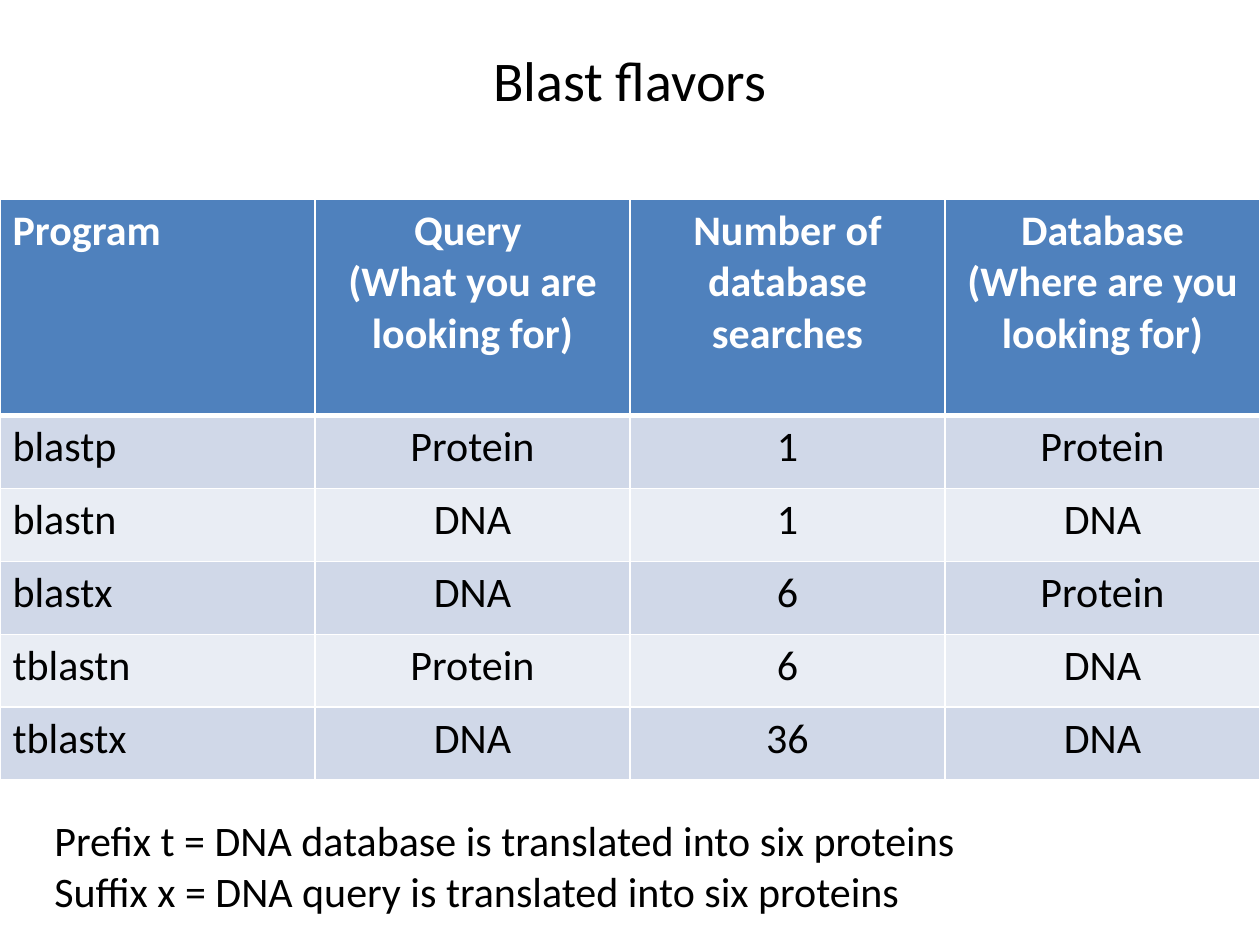
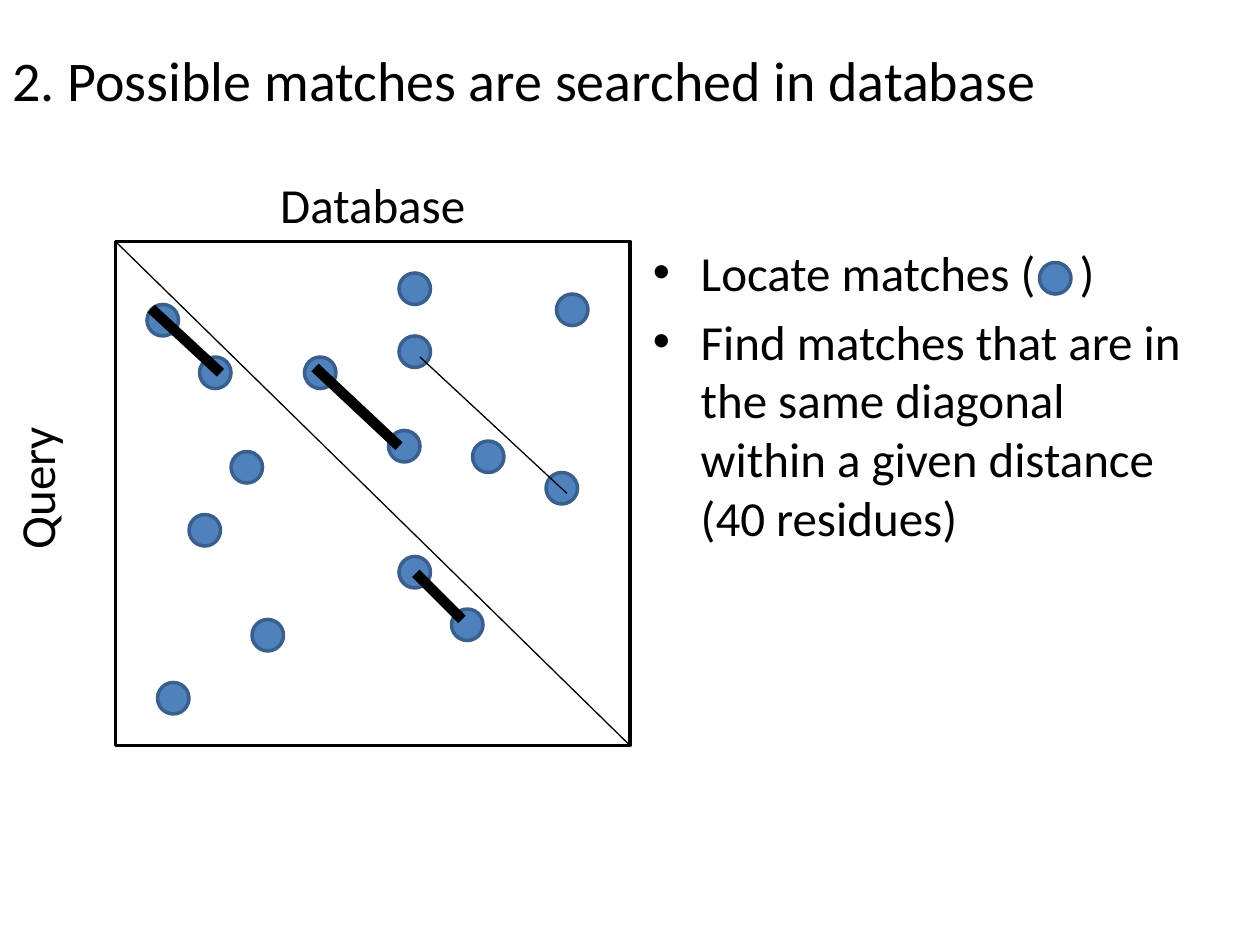
from dataclasses import dataclass
from typing import NamedTuple

from lxml import etree
from pptx import Presentation
from pptx import util as u
from pptx.dml.color import RGBColor
from pptx.enum import shapes, text
from pptx.oxml import ns


# Theme and grid
@dataclass(frozen=True)
class Theme:
    font: str = "Calibri"
    black: str = "000000"
    white: str = "FFFFFF"
    blue: str = "4F81BD"
    dot_edge: str = "3A5F8C"
    bands: tuple[str, str] = ("D0D8E8", "E9EDF4")
    title: float = 32
    body: float = 28
    small: float = 24
    thin: float = 0.75
    outline: float = 2
    thick: float = 6


T = Theme()
WIDTH, HEIGHT = u.Inches(10), u.Inches(7.5)
COLS = 120  # square grid cells across the slide
CELL = WIDTH / COLS
DOT_SIZE = 3
LEFT, CENTER = text.PP_ALIGN.LEFT, text.PP_ALIGN.CENTER


class Box(NamedTuple):
    col: float
    row: float
    cols: float
    rows: float


class Dot(NamedTuple):
    col: float
    row: float


class Link(NamedTuple):
    start: tuple[float, float]
    end: tuple[float, float]
    weight: float


class Run(NamedTuple):
    words: str
    spacing: float = 0  # extra points after each character


def grid(*cells: float) -> list[int]:
    return [round(c * CELL) for c in cells]


def rgb(color: str) -> RGBColor:
    return RGBColor.from_string(color)


# Text
def write(tf, paragraphs, size: float, color: str = T.black, align=LEFT,
          bold: bool = False, bullets: bool = False) -> None:
    tf.word_wrap = True
    for i, runs in enumerate(paragraphs):
        p = tf.add_paragraph() if i else tf.paragraphs[0]
        p.alignment = align
        if bullets:
            add_bullet(p)
            if i:
                p.space_before = u.Pt(size * 0.2)
        for run in [Run(runs)] if isinstance(runs, str) else runs:
            r = p.add_run()
            r.text = run.words
            r.font.name, r.font.size, r.font.bold = T.font, u.Pt(size), bold
            r.font.color.rgb = rgb(color)
            if run.spacing:
                r.font._element.set("spc", str(round(run.spacing * 100)))


def add_bullet(p) -> None:
    pPr = p._p.get_or_add_pPr()
    indent = u.Inches(0.38)
    pPr.set("marL", str(indent))
    pPr.set("indent", str(-indent))
    etree.SubElement(pPr, ns.qn("a:buFont"), typeface="Arial")
    etree.SubElement(pPr, ns.qn("a:buChar"), char="•")


def add_text(s, box: Box, paragraphs, size: float, align=LEFT,
             bullets: bool = False, rotation: float = 0,
             anchor=text.MSO_ANCHOR.TOP) -> None:
    sp = s.shapes.add_textbox(*grid(*box))
    sp.rotation = rotation
    sp.text_frame.vertical_anchor = anchor
    write(sp.text_frame, paragraphs, size, align=align, bullets=bullets)


def add_title(s, box: Box, words: str, align=LEFT) -> None:
    add_text(s, box, [words], T.title, align, anchor=text.MSO_ANCHOR.MIDDLE)


# Shapes
def add_shape(s, kind, box: Box, fill: str, line: str) -> None:
    sp = s.shapes.add_shape(kind, *grid(*box))
    sp.shadow.inherit = False
    sp.fill.solid()
    sp.fill.fore_color.rgb = rgb(fill)
    sp.line.color.rgb = rgb(line)
    sp.line.width = u.Pt(T.outline)


def add_dot(s, dot: Dot) -> None:
    add_shape(s, shapes.MSO_SHAPE.OVAL, Box(*dot, DOT_SIZE, DOT_SIZE), T.blue, T.dot_edge)


def add_link(s, link: Link) -> None:
    cx = s.shapes.add_connector(shapes.MSO_CONNECTOR.STRAIGHT, *grid(*link.start, *link.end))
    cx.line.color.rgb = rgb(T.black)
    cx.line.width = u.Pt(link.weight)
    etree.SubElement(cx._element.spPr, ns.qn("a:effectLst"))


# Table
def set_borders(cell, top: float = 1, bottom: float = 1) -> None:
    tcPr = cell._tc.get_or_add_tcPr()
    for side, weight in (("L", 1), ("R", 1), ("T", top), ("B", bottom)):
        ln = etree.SubElement(tcPr, ns.qn(f"a:ln{side}"), w=str(u.Pt(weight)))
        fill = etree.SubElement(ln, ns.qn("a:solidFill"))
        etree.SubElement(fill, ns.qn("a:srgbClr"), val=T.white)


def add_table(s, box: Box, rows, header_rows: float) -> None:
    table = s.shapes.add_table(len(rows), len(rows[0]), *grid(*box)).table
    body_rows = (box.rows - header_rows) / (len(rows) - 1)
    for i, row in enumerate(rows):
        header = i == 0
        table.rows[i].height = grid(header_rows if header else body_rows)[0]
        for j, words in enumerate(row):
            cell = table.cell(i, j)
            set_borders(cell, top=3 if i == 1 else 1, bottom=3 if header else 1)
            cell.fill.solid()
            cell.fill.fore_color.rgb = rgb(T.blue if header else T.bands[(i - 1) % 2])
            write(cell.text_frame, words.split("\n"), T.small,
                  T.white if header else T.black, CENTER if j else LEFT, bold=header)


# Slide 1: the BLAST programs
FLAVORS = [
    ("Program", "Query \n(What you are looking for)", "Number of database searches",
     "Database\n(Where are you looking for)"),
    ("blastp", "Protein", "1", "Protein"),
    ("blastn", "DNA", "1", "DNA"),
    ("blastx", "DNA", "6", "Protein"),
    ("tblastn", "Protein", "6", "DNA"),
    ("tblastx", "DNA", "36", "DNA"),
]
PREFIX_NOTES = [
    "Prefix t = DNA database is translated into six proteins",
    "Suffix x = DNA query is translated into six proteins",
]


def flavors_slide(s) -> None:
    add_title(s, Box(6, 0, 108, 15), "Blast flavors", CENTER)
    add_table(s, Box(0, 19, COLS, 55.3), FLAVORS, header_rows=20.6)
    add_text(s, Box(4, 77, 99, 12), PREFIX_NOTES, T.small)


# Slide 2: dot plot of query against database
PLOT = Box(11, 23, 49, 48)
DOTS = [Dot(*at) for at in (
    (38, 26), (19, 34), (22, 43), (38, 53), (43, 58), (24, 59), (53, 28), (52, 45),
    (37, 41), (45, 42), (29, 34), (14, 29), (38, 32), (18, 49), (15, 65))]
LEGEND_DOT = Dot(99, 25)
LINKS = [
    Link((PLOT.col, PLOT.row), (PLOT.col + PLOT.cols, PLOT.row + PLOT.rows), T.thin),
    Link((30, 35), (38, 42.5), T.thick),
    Link((39.6, 54.6), (44, 59), T.thick),
    Link((14.4, 29.4), (21, 35.5), T.thick),
    Link((40, 34), (54, 47), T.thin),
]
STEPS = [
    [Run("Locate matches ("), Run(" ", spacing=19), Run(")")],
    "Find matches that are in the same diagonal within a given distance (40 residues)",
]


def matches_slide(s) -> None:
    add_title(s, Box(0, 0, 114, 15), "2. Possible matches are searched in database")
    add_text(s, Box(PLOT.col, 16, PLOT.cols, 7), ["Database"], T.body, CENTER)
    add_text(s, Box(61, 22.5, 53, 47.5), STEPS, T.body, bullets=True)
    add_shape(s, shapes.MSO_SHAPE.RECTANGLE, PLOT, T.white, T.black)
    add_text(s, Box(-21, 43, PLOT.cols, 7), ["Query"], T.body, CENTER, rotation=270)
    for dot in [*DOTS, LEGEND_DOT]:
        add_dot(s, dot)
    for link in LINKS:
        add_link(s, link)


def main() -> None:
    prs = Presentation()
    prs.slide_width, prs.slide_height = WIDTH, HEIGHT
    for build in (flavors_slide, matches_slide):
        build(prs.slides.add_slide(prs.slide_layouts[6]))
    prs.save("out.pptx")


if __name__ == "__main__":
    main()
